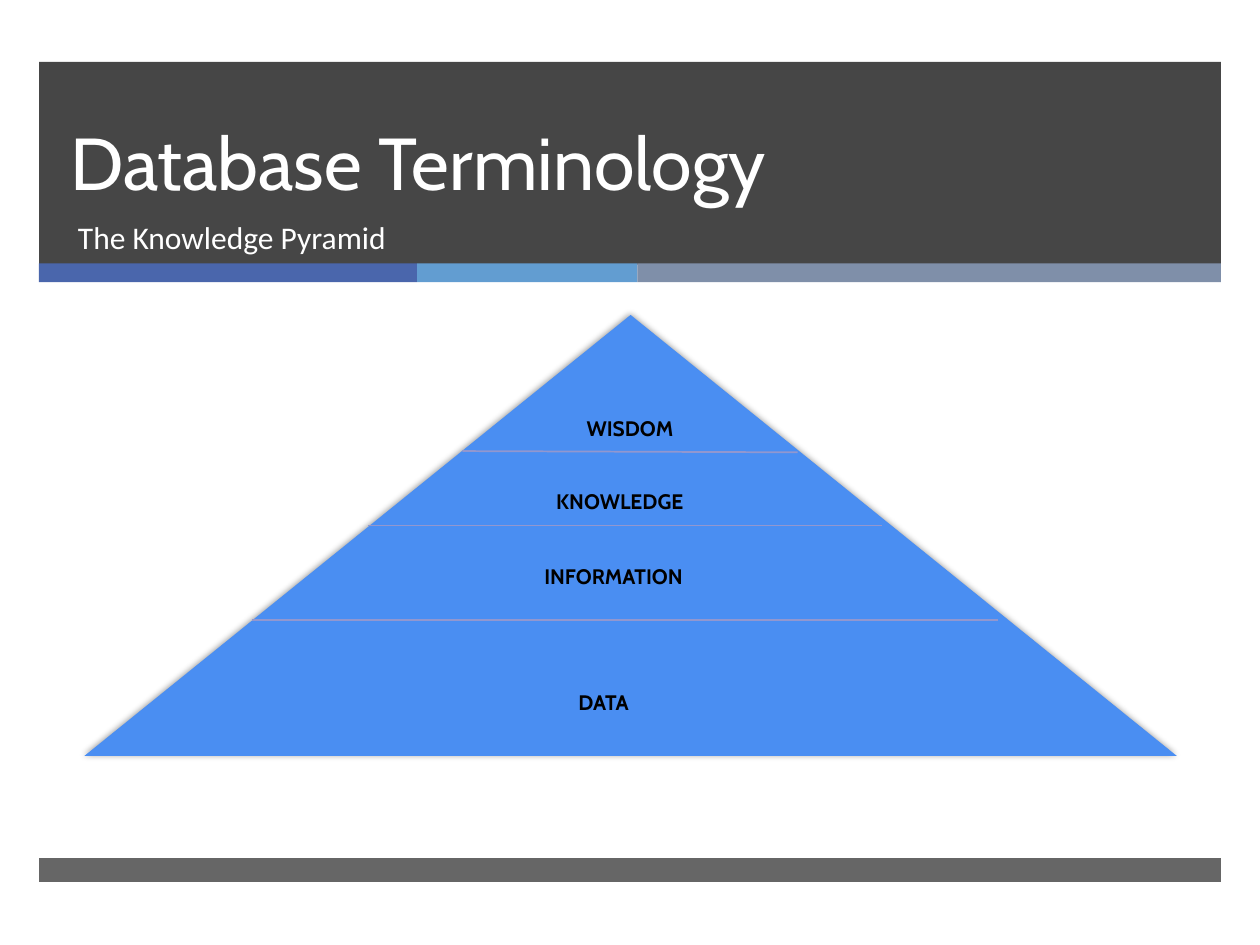
from typing import NamedTuple

from lxml import etree
from pptx import Presentation
from pptx import util as u
from pptx.dml.color import RGBColor
from pptx.enum import shapes, text
from pptx.oxml import ns

COLORS = {
    "band": "262626",
    "indigo": "4A66AC",
    "sky": "629DD1",
    "slate": "7F8FA9",
    "pyramid": "4A8EF2",
    "divider": "9297CF",
    "white": "FFFFFF",
    "black": "000000",
}
BAND_LEFT, BAND_WIDTH = 0.31, 9.38


class Box(NamedTuple):
    left: float
    top: float
    width: float
    height: float


class Block(NamedTuple):
    box: Box
    color: str
    opacity: int = 100
    kind: shapes.MSO_SHAPE = shapes.MSO_SHAPE.RECTANGLE


class Label(NamedTuple):
    words: str
    box: Box
    font: dict
    paragraph: dict = {}
    frame: dict = {}


class Divider(NamedTuple):
    left: float
    right: float
    top: float
    bottom: float


BLOCKS = [
    Block(Box(BAND_LEFT, 0.49, BAND_WIDTH, 1.61), "band", 85),
    Block(Box(BAND_LEFT, 2.09, 3, 0.15), "indigo"),
    Block(Box(3.31, 2.09, 1.75, 0.15), "sky"),
    Block(Box(5.06, 2.09, 4.63, 0.15), "slate"),
    Block(Box(BAND_LEFT, 6.81, BAND_WIDTH, 0.19), "band", 70),
]
PYRAMID = Block(Box(0.67, 2.5, 8.67, 3.5), "pyramid",
                kind=shapes.MSO_SHAPE.ISOSCELES_TRIANGLE)
DIVIDERS = [
    Divider(3.67, 6.33, 3.58, 3.59),
    Divider(2.92, 7, 4.17, 4.17),
    Divider(2, 7.92, 4.92, 4.92),
]

HEADINGS = [
    Label("Database Terminology", Box(0.46, 0.49, 8.54, 1.19),
          {"name": "Cabin", "size": u.Pt(42), "color": "white"},
          {"line_spacing": u.Pt(46)},
          {"vertical_anchor": text.MSO_ANCHOR.BOTTOM}),
    Label("The Knowledge Pyramid", Box(0.52, 1.68, 8.48, 0.53),
          {"name": "Calibri", "size": u.Pt(18), "color": "white"}),
]
LEVEL_FONT = {"name": "Cabin", "size": u.Pt(12), "bold": True, "color": "black"}
LEVELS = [
    Label(words, Box(left, top, width, 0.3), LEVEL_FONT,
          {"alignment": text.PP_ALIGN.CENTER},
          {"auto_size": text.MSO_AUTO_SIZE.SHAPE_TO_FIT_TEXT})
    for words, left, top, width in [
        ("WISDOM", 4.25, 3.25, 1.5),
        ("KNOWLEDGE", 4.17, 3.83, 1.5),
        ("INFORMATION", 4.08, 4.42, 1.58),
        ("DATA", 4, 5.42, 1.58),
    ]
]


def rgb(name: str) -> RGBColor:
    return RGBColor.from_string(COLORS[name])


def lengths(values) -> list:
    return [u.Inches(value) for value in values]


def add_child(parent, tag: str, **attributes: str):
    return etree.SubElement(parent, ns.qn(tag), attributes)


def apply_format(target, values: dict) -> None:
    for name, value in values.items():
        if name == "color":
            target.color.rgb = rgb(value)
        else:
            setattr(target, name, value)


def add_block(slide, block: Block):
    shape = slide.shapes.add_shape(block.kind, *lengths(block.box))
    shape.shadow.inherit = False
    shape.fill.solid()
    shape.fill.fore_color.rgb = rgb(block.color)
    shape.line.fill.background()
    if block.opacity < 100:
        color = shape.fill._xPr.find(f".//{ns.qn('a:srgbClr')}")
        add_child(color, "a:alpha", val=str(block.opacity * 1000))
    return shape


def add_soft_shadow(shape) -> None:
    """Surround the shape with a blurred, 40 % black shadow."""
    effects = shape._element.spPr.find(ns.qn("a:effectLst"))
    shadow = add_child(effects, "a:outerShdw", blurRad=str(u.Pt(4)), dist="0",
                       dir="5400000", rotWithShape="0")
    color = add_child(shadow, "a:srgbClr", val=COLORS["black"])
    add_child(color, "a:alpha", val="40000")


def add_divider(slide, divider: Divider) -> None:
    ends = divider.left, divider.top, divider.right, divider.bottom
    connector = slide.shapes.add_connector(
        shapes.MSO_CONNECTOR.STRAIGHT, *lengths(ends))
    apply_format(connector.line, {"color": "divider", "width": u.Pt(1)})
    add_child(connector._element.spPr, "a:effectLst")


def add_label(slide, label: Label) -> None:
    frame = slide.shapes.add_textbox(*lengths(label.box)).text_frame
    apply_format(frame, {"word_wrap": True, **label.frame})
    paragraph = frame.paragraphs[0]
    apply_format(paragraph, label.paragraph)
    run = paragraph.add_run()
    run.text = label.words
    apply_format(run.font, label.font)


def main() -> None:
    presentation = Presentation()
    presentation.slide_width, presentation.slide_height = lengths((10, 7.5))
    slide = presentation.slides.add_slide(presentation.slide_layouts[6])
    for block in BLOCKS:
        add_block(slide, block)
    for heading in HEADINGS:
        add_label(slide, heading)
    add_soft_shadow(add_block(slide, PYRAMID))
    for divider in DIVIDERS:
        add_divider(slide, divider)
    for level in LEVELS:
        add_label(slide, level)
    presentation.save("out.pptx")


if __name__ == "__main__":
    main()
